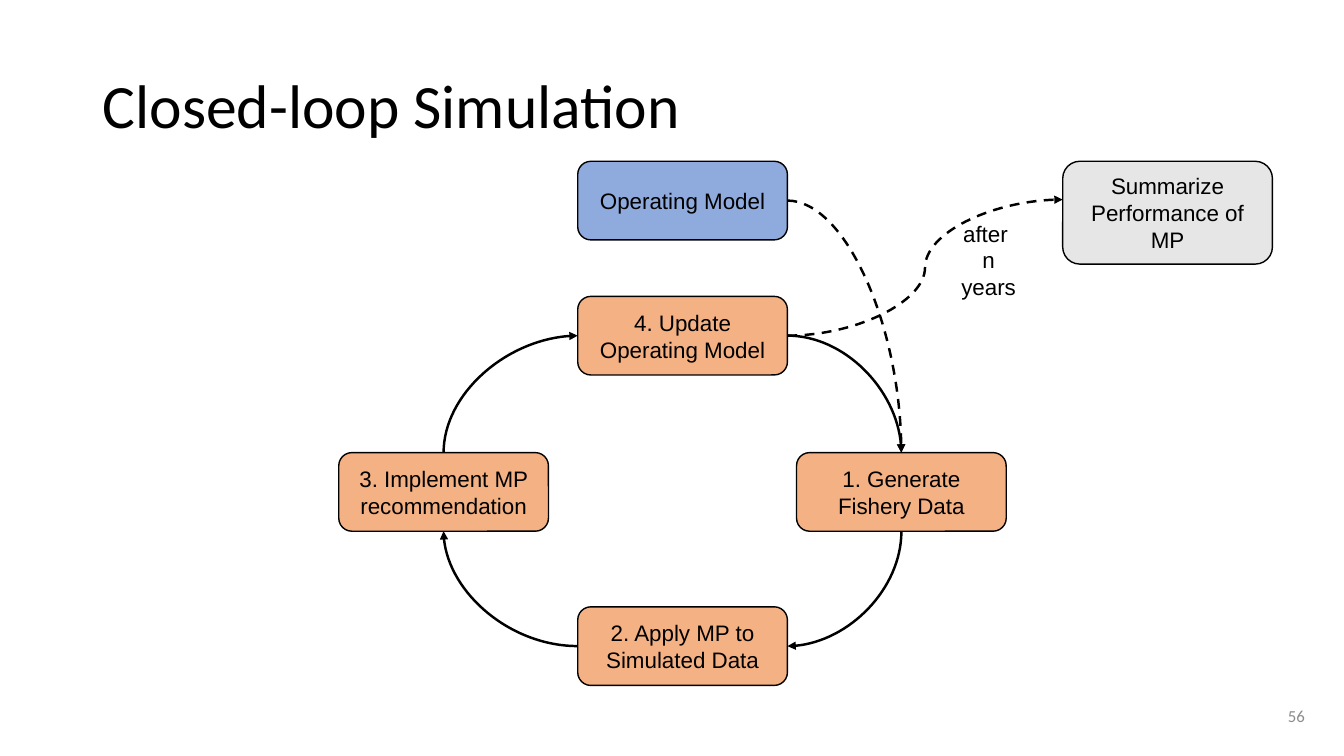
from lxml import etree
from pptx import Presentation
from pptx.dml.color import RGBColor
from pptx.enum.dml import MSO_LINE
from pptx.enum.shapes import MSO_CONNECTOR, MSO_SHAPE
from pptx.enum.text import MSO_ANCHOR, MSO_AUTO_SIZE, PP_ALIGN
from pptx.oxml.ns import qn
from pptx.util import Inches, Pt

CURVE = MSO_CONNECTOR.CURVE
ROUNDED = MSO_SHAPE.ROUNDED_RECTANGLE
DASH = MSO_LINE.DASH
MIDDLE, TOP_ANCHOR = MSO_ANCHOR.MIDDLE, MSO_ANCHOR.TOP
LEFT_ALIGN, CENTER, RIGHT_ALIGN = PP_ALIGN.LEFT, PP_ALIGN.CENTER, PP_ALIGN.RIGHT
NO_FIT, GROW = MSO_AUTO_SIZE.NONE, MSO_AUTO_SIZE.SHAPE_TO_FIT_TEXT
TOP, LEFT, BOTTOM, RIGHT = range(4)  # connection sites

BLACK = "000000"
BLUE, ORANGE, GRAY = "8FAADC", "F4B183", "E7E6E6"


def color(hex_string):
    return RGBColor.from_string(hex_string)


def write(shape, text, size, font_name, text_color, alignment, frame_format):
    frame = shape.text_frame
    frame.text = text
    for name, value in frame_format.items():
        setattr(frame, name, value)
    for paragraph in frame.paragraphs:
        paragraph.alignment = alignment
        for name, value in {"size": Pt(size), "name": font_name}.items():
            setattr(paragraph.font, name, value)
        paragraph.font.color.rgb = color(text_color)


presentation = Presentation()
presentation.slide_width = Inches(13.33)
presentation.slide_height = Inches(7.5)
slide = presentation.slides.add_slide(presentation.slide_layouts[5])
shapes = slide.shapes

# Title
title = shapes.title
title_place = {"left": 0.92, "top": 0.35, "width": 11.5, "height": 1.45}
for name, value in title_place.items():
    setattr(title, name, Inches(value))
write(title, "Closed-loop Simulation", 44, "Calibri", BLACK, LEFT_ALIGN,
      {"vertical_anchor": MIDDLE, "word_wrap": True, "auto_size": NO_FIT})
title.text_frame.paragraphs[0].line_spacing = 0.9

# Boxes: text, left, top, height, fill
box_data = {
    "model": ("Operating Model", 5.73, 1.6, 0.78, BLUE),
    "generate": ("1. Generate Fishery Data", 7.9, 4.49, 0.78, ORANGE),
    "apply": ("2. Apply MP to Simulated Data", 5.73, 6.02, 0.78, ORANGE),
    "update": ("4. Update Operating Model", 5.73, 2.94, 0.78, ORANGE),
    "implement": ("3. Implement MP recommendation", 3.36, 4.49, 0.78, ORANGE),
    "summary": ("Summarize Performance of MP", 10.54, 1.6, 1.02, GRAY),
}
boxes = {}
for key, (text, left, top, height, fill) in box_data.items():
    box = shapes.add_shape(ROUNDED, Inches(left), Inches(top), Inches(2.08), Inches(height))
    box.shadow.inherit = False
    box.fill.solid()
    box.fill.fore_color.rgb = color(fill)
    box.line.color.rgb = color(BLACK)
    box.line.width = Pt(1)
    write(box, text, 16, "Arial", BLACK, CENTER,
          {"vertical_anchor": MIDDLE, "word_wrap": True})
    boxes[key] = box

# Curved arrows: from box and side, to box and side, dashed
arrows = [
    ("model", RIGHT, "generate", TOP, True),
    ("generate", BOTTOM, "apply", RIGHT, False),
    ("apply", LEFT, "implement", BOTTOM, False),
    ("implement", TOP, "update", LEFT, False),
    ("update", RIGHT, "generate", TOP, False),
    ("update", RIGHT, "summary", None, True),
]
for source, source_side, target, target_side, dashed in arrows:
    arrow = shapes.add_connector(CURVE, 0, 0, Inches(1), Inches(1))
    arrow.begin_connect(boxes[source], source_side)
    properties = arrow.element.spPr
    if target_side is None:
        # This arrow meets the box a little above the middle of its side
        arrow.end_x, arrow.end_y = Inches(10.54), Inches(1.98)
    else:
        arrow.end_connect(boxes[target], target_side)
        properties.find(qn("a:prstGeom")).set("prst", "curvedConnector2")

    # An arc that leaves vertically is a quarter-turned horizontal one
    if source_side in (TOP, BOTTOM):
        width, height = arrow.width, arrow.height
        arrow.left += (width - height) // 2
        arrow.top += (height - width) // 2
        arrow.width, arrow.height = height, width
        properties.xfrm.flipH = properties.xfrm.flipV = False
        properties.xfrm.rot = 90 if source_side == BOTTOM else 270

    arrow.line.color.rgb = color(BLACK)
    arrow.line.width = Pt(1.75)
    if dashed:
        arrow.line.dash_style = DASH
    etree.SubElement(properties.find(qn("a:ln")), qn("a:tailEnd"), type="triangle")
    etree.SubElement(properties, qn("a:effectLst"))

# Arrow label
label = shapes.add_textbox(Inches(9.43), Inches(2.13), Inches(0.75), Inches(0.91))
write(label, "after \nn\nyears", 16, "Arial", BLACK, CENTER,
      {"vertical_anchor": TOP_ANCHOR, "word_wrap": False, "auto_size": GROW})

# Slide number
number = shapes.add_textbox(Inches(10.04), Inches(6.9), Inches(3), Inches(0.4))
write(number, "56", 12, "Calibri", "8C8C8C", RIGHT_ALIGN,
      {"vertical_anchor": MIDDLE, "word_wrap": True})

presentation.save("out.pptx")
